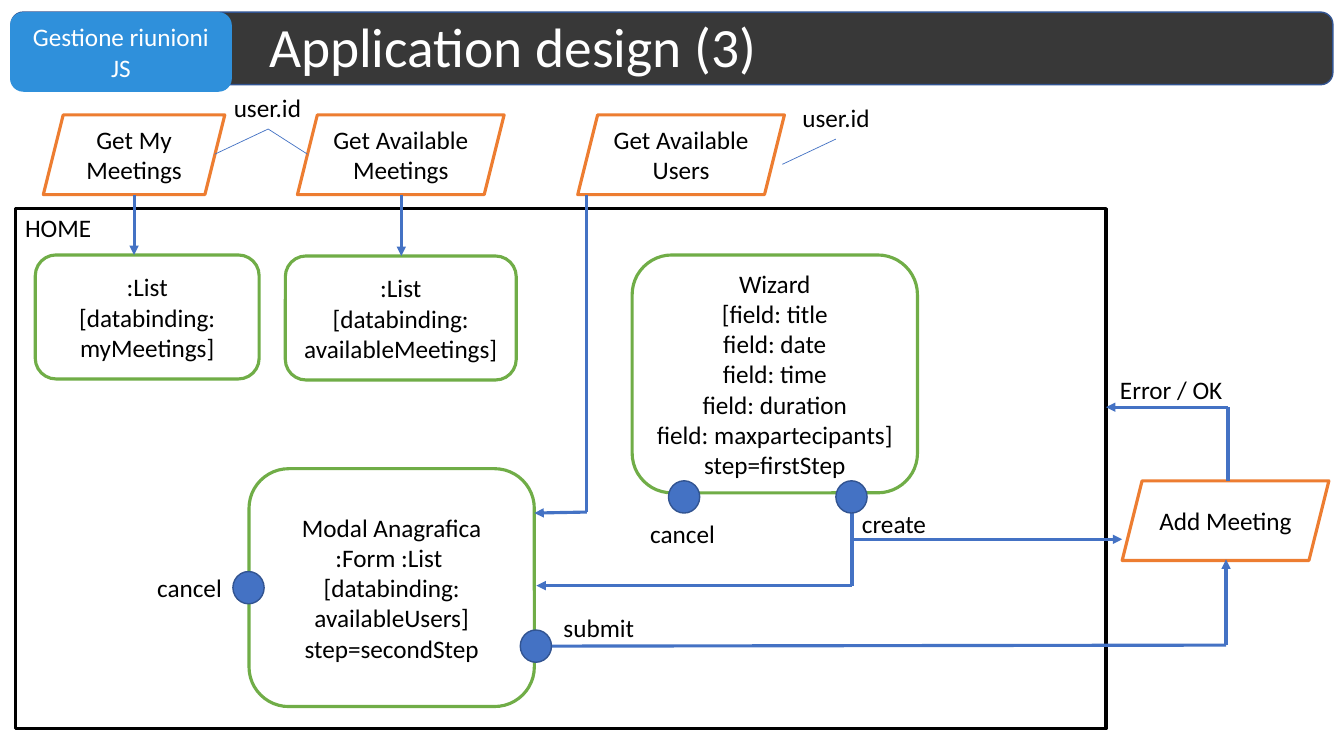
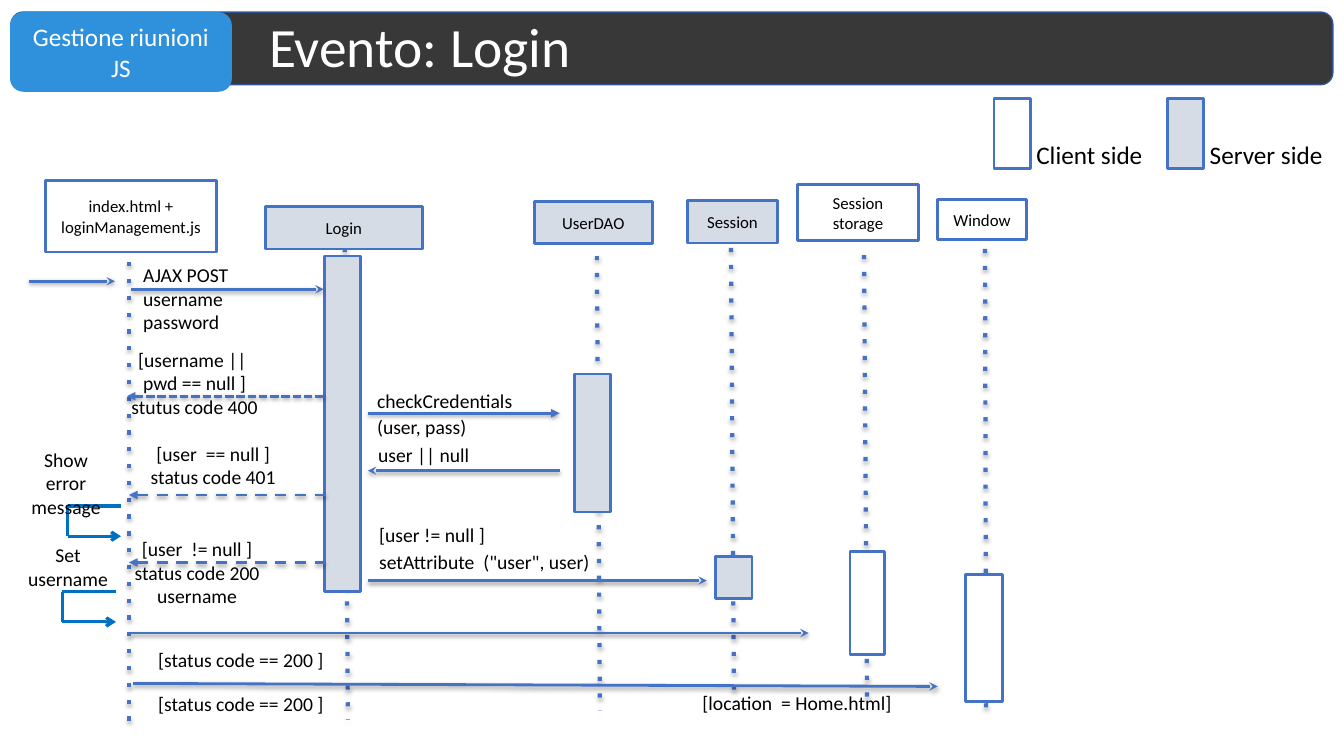
from lxml.etree import SubElement
from pptx import Presentation
from pptx.dml.color import RGBColor
from pptx.enum.shapes import MSO_CONNECTOR, MSO_SHAPE
from pptx.enum.text import MSO_ANCHOR, MSO_AUTO_SIZE, PP_ALIGN
from pptx.oxml.ns import qn
from pptx.util import Inches, Pt

FONT = "Calibri"
BLACK, WHITE = "000000", "FFFFFF"
BAND, TAB = "383838", "2F90DB"
BLUE, DARK_BLUE, LOOP_BLUE = "4472C4", "325491", "0070C0"
GREEN, ORANGE, SERVER = "70AD47", "ED7D31", "D6DCE5"
CLIENT = WHITE
WIDE_MARGINS = (0.12, 0.06)
LIFELINE_SHADOW = (35, 1.8)
MESSAGE_SHADOW = (38, 1.6)


def rgb(color):
    return RGBColor.from_string(color)


def write(shape, text, size, color=BLACK, align=PP_ALIGN.CENTER, anchor=MSO_ANCHOR.MIDDLE,
          margins=(0.1, 0.05), wrap=True, space_after=None, line_spacing=None):
    frame = shape.text_frame
    frame.text = text
    frame.word_wrap = wrap
    frame.vertical_anchor = anchor
    frame.margin_left = frame.margin_right = Inches(margins[0])
    frame.margin_top = frame.margin_bottom = Inches(margins[1])
    if not wrap:
        frame.auto_size = MSO_AUTO_SIZE.SHAPE_TO_FIT_TEXT
    for paragraph in frame.paragraphs:
        paragraph.alignment = align
        if space_after:
            paragraph.space_after = Pt(space_after)
        if line_spacing:
            paragraph.line_spacing = line_spacing
        for run in paragraph.runs:
            run.font.name = FONT
            run.font.size = Pt(size)
            run.font.color.rgb = rgb(color)


def add_box(slide, kind, bounds, fill, line=None, width=1):
    shape = slide.shapes.add_shape(kind, *map(Inches, bounds))
    shape.shadow.inherit = False
    shape.fill.solid()
    shape.fill.fore_color.rgb = rgb(fill)
    if line:
        shape.line.color.rgb = rgb(line)
        shape.line.width = Pt(width)
    else:
        shape.line.fill.background()
    return shape


def add_text(slide, bounds, text, size, **style):
    box = slide.shapes.add_textbox(*map(Inches, bounds))
    write(box, text, size, **style)


def add_line(shapes, start, end, color=BLUE, width=2.25, dash=None, head=None, tail=None,
             shadow=None):
    connector = shapes.add_connector(MSO_CONNECTOR.STRAIGHT, *map(Inches, start + end))
    connector.line.color.rgb = rgb(color)
    connector.line.width = Pt(width)
    properties = connector.element.spPr
    outline = properties.find(qn("a:ln"))
    if dash:
        SubElement(outline, qn("a:prstDash"), val=dash)
    if head:
        SubElement(outline, qn("a:headEnd"), type=head)
    if tail:
        SubElement(outline, qn("a:tailEnd"), type=tail)
    effects = SubElement(properties, qn("a:effectLst"))
    if shadow:
        opacity, distance = shadow
        outer = SubElement(effects, qn("a:outerShdw"), blurRad=str(Pt(3.1)),
                           dist=str(Pt(distance)), dir="5400000", rotWithShape="0")
        shade = SubElement(outer, qn("a:srgbClr"), val=BLACK)
        SubElement(shade, qn("a:alpha"), val=str(opacity * 1000))


def add_path(shapes, points, tail="triangle", **style):
    for index in range(1, len(points)):
        last = index == len(points) - 1
        add_line(shapes, points[index - 1], points[index], tail=tail if last else None, **style)


def add_titled_slide(presentation, title):
    slide = presentation.slides.add_slide(presentation.slide_layouts[6])
    add_box(slide, MSO_SHAPE.ROUNDED_RECTANGLE, (0.11, 0.12, 13.11, 0.72), BAND, DARK_BLUE)
    tab = add_box(slide, MSO_SHAPE.ROUNDED_RECTANGLE, (0.1, 0.12, 2.2, 0.79), TAB)
    write(tab, "Gestione riunioni JS", 18, WHITE)
    add_text(slide, (2.57, 0.12, 10.63, 0.74), title, 39.6, color=WHITE,
             align=PP_ALIGN.LEFT, line_spacing=0.9)
    return slide


def add_component(slide, bounds, text):
    shape = add_box(slide, MSO_SHAPE.ROUNDED_RECTANGLE, bounds, WHITE, GREEN, 2.25)
    write(shape, text, 18)


def add_action(slide, left, top, width, text):
    shape = add_box(slide, MSO_SHAPE.PARALLELOGRAM, (left, top, width, 0.79), WHITE, ORANGE, 2.25)
    write(shape, text, 18)


def add_event(slide, left, top):
    add_box(slide, MSO_SHAPE.OVAL, (left, top, 0.31, 0.32), BLUE, DARK_BLUE)


def add_label(slide, left, top, width, text):
    add_text(slide, (left, top, width, 0.4), text, 18, align=PP_ALIGN.LEFT,
             anchor=MSO_ANCHOR.TOP, wrap=False)


def add_bar(slide, bounds, fill):
    return add_box(slide, MSO_SHAPE.RECTANGLE, bounds, fill, BLUE, 2)


def add_participant(slide, bounds, fill, text):
    write(add_bar(slide, bounds, fill), text, 12, margins=WIDE_MARGINS)


def add_message(slide, start, end, **style):
    add_line(slide.shapes, start, end, width=2, shadow=MESSAGE_SHADOW, **style)


def add_note(slide, bounds, text, align=PP_ALIGN.CENTER, space_after=None):
    add_text(slide, bounds, text, 14, align=align, anchor=MSO_ANCHOR.TOP,
             margins=WIDE_MARGINS, space_after=space_after)


def add_self_call(slide, left, top):
    right, bottom = left + 0.53, top + 0.3
    group = slide.shapes.add_group_shape()
    add_path(group.shapes, [(right, top), (left, top), (left, bottom), (right, bottom)],
             tail="arrow", color=LOOP_BLUE)


def build_application_design(presentation):
    slide = add_titled_slide(presentation, "Application design (3)")
    add_box(slide, MSO_SHAPE.RECTANGLE, (0.15, 2.07, 10.82, 5.16), WHITE, BLACK, 2.25)

    for bounds, text in [
        ((0.35, 2.53, 2.22, 1.23), ":List\n[databinding: myMeetings]"),
        ((2.83, 2.54, 2.29, 1.23), ":List\n[databinding: availableMeetings]"),
        ((6.27, 2.53, 2.83, 2.36),
         "Wizard\n[field: title\nfield: date\nfield: time\nfield: duration\n"
         "field: maxpartecipants]\nstep=firstStep"),
        ((2.47, 4.65, 2.83, 2.36),
         "Modal Anagrafica\n:Form :List \n[databinding: availableUsers]\nstep=secondStep"),
    ]:
        add_component(slide, bounds, text)

    for left, top, width, text in [
        (0.43, 1.14, 1.8, "Get My Meetings"),
        (2.95, 1.14, 2.05, "Get Available Meetings"),
        (5.73, 1.14, 2.05, "Get Available Users"),
        (11.13, 4.77, 2.05, "Add Meeting"),
    ]:
        add_action(slide, left, top, width, text)

    for start, end in [
        ((2.66, 1.28), (2.13, 1.53)),
        ((2.66, 1.28), (3.05, 1.53)),
        ((8.29, 1.38), (7.76, 1.63)),
    ]:
        add_line(slide.shapes, start, end, width=0.5)

    for points in [
        [(1.33, 1.93), (1.33, 2.53)],
        [(3.98, 1.93), (3.98, 2.54)],
        [(5.82, 1.93), (5.82, 5.08), (5.3, 5.09)],
        [(8.45, 5.08), (8.45, 5.81), (5.32, 5.81)],
        [(8.45, 5.35), (11.13, 5.35)],
        [(12.18, 4.77), (12.18, 4.04), (10.97, 4.04)],
        [(5.47, 6.41), (12.16, 6.4), (12.16, 5.55)],
    ]:
        add_path(slide.shapes, points)

    for left, top in [(8.29, 4.77), (6.63, 4.77), (2.31, 5.67), (5.16, 6.25)]:
        add_event(slide, left, top)

    for left, top, width, text in [
        (0.15, 2.06, 0.86, "HOME"),
        (2.22, 0.87, 0.88, "user.id"),
        (7.86, 0.97, 0.88, "user.id"),
        (5.49, 6.03, 0.91, "submit"),
        (8.45, 4.99, 0.85, "create"),
        (11.01, 3.66, 1.23, "Error / OK"),
        (6.35, 5.09, 0.85, "cancel"),
        (1.46, 5.63, 0.85, "cancel"),
    ]:
        add_label(slide, left, top, width, text)


def build_login_event(presentation):
    slide = add_titled_slide(presentation, "Evento: Login")

    for start, end in [
        ((1.28, 2.6), (1.28, 7.16)),
        ((3.42, 2.46), (3.45, 7.14)),
        ((5.92, 2.54), (5.95, 7.05)),
        ((7.25, 2.46), (7.28, 6.97)),
        ((8.57, 2.53), (8.6, 7.03)),
        ((9.77, 2.47), (9.78, 7.14)),
    ]:
        add_line(slide.shapes, start, end, width=3, dash="dot", shadow=LIFELINE_SHADOW)

    for bounds, fill, text in [
        ((0.45, 1.79, 1.7, 0.71), CLIENT, "index.html + loginManagement.js"),
        ((2.63, 2.05, 1.56, 0.42), SERVER, "Login"),
        ((5.3, 2, 1.17, 0.42), SERVER, "UserDAO"),
        ((6.82, 1.99, 0.89, 0.42), SERVER, "Session"),
        ((7.91, 1.83, 1.2, 0.56), CLIENT, "Session storage"),
        ((9.3, 1.98, 0.88, 0.4), CLIENT, "Window"),
    ]:
        add_participant(slide, bounds, fill, text)

    for bounds, fill in [
        ((3.22, 2.54, 0.36, 3.33), SERVER),
        ((5.7, 3.71, 0.36, 1.37), SERVER),
        ((7.1, 5.52, 0.36, 0.42), SERVER),
        ((8.43, 5.47, 0.34, 1.02), CLIENT),
        ((9.58, 5.7, 0.36, 1.26), CLIENT),
    ]:
        add_bar(slide, bounds, fill)

    for left, fill, width, text in [
        (9.86, CLIENT, 1.31, "Client side "),
        (11.58, SERVER, 1.4, "Server side "),
    ]:
        add_bar(slide, (left, 0.98, 0.36, 0.69), fill)
        add_label(slide, left + 0.32, 1.33, width, text)

    for start, end in [
        ((0.29, 2.79), (1.14, 2.79)),
        ((1.3, 2.87), (3.21, 2.87)),
        ((5.55, 4.67), (3.65, 4.67)),
        ((3.65, 5.76), (7.01, 5.76)),
        ((1.3, 6.28), (8.02, 6.28)),
        ((1.32, 6.78), (9.3, 6.81)),
    ]:
        add_message(slide, start, end, tail="stealth")
    add_message(slide, (3.65, 4.1), (5.55, 4.1), tail="triangle")
    for start, end, dash in [
        ((1.26, 3.93), (3.22, 3.93), "sysDash"),
        ((1.28, 4.91), (3.25, 4.91), "dash"),
        ((1.28, 5.58), (3.22, 5.58), "dash"),
    ]:
        add_message(slide, start, end, dash=dash, head="triangle")

    add_self_call(slide, 0.67, 5.02)
    add_self_call(slide, 0.62, 5.87)

    for bounds, text in [
        ((1.12, 3.39, 1.62, 0.51), "[username || \vpwd == null ]\nstutus code 400"),
        ((1.3, 4.32, 1.63, 0.51), "[user  == null ]\nstatus code 401"),
        ((1.12, 5.27, 1.67, 0.71), "[user  != null ]\nstatus code 200\nusername"),
        ((1.27, 6.37, 2.24, 0.37), "[status code == 200 ]"),
        ((1.27, 6.8, 2.24, 0.37), "[status code == 200 ]"),
        ((6.6, 6.79, 2.61, 0.33), "[location  = Home.html]"),
        ((0.1, 4.38, 1.11, 0.51), "Show error message"),
        ((0.12, 5.33, 1.11, 0.51), "Set username"),
    ]:
        add_note(slide, bounds, text)

    for bounds, text, space_after in [
        ((1.3, 2.55, 1.15, 0.68), "AJAX POST username password", None),
        ((3.62, 3.8, 1.9, 0.53), "checkCredentials\n(user, pass)", 2),
        ((3.63, 4.33, 1.35, 0.4), "user || null", None),
        ((3.64, 5.13, 3.69, 0.63), '[user != null ] \nsetAttribute  ("user", user)', 2),
    ]:
        add_note(slide, bounds, text, PP_ALIGN.LEFT, space_after)


def main():
    presentation = Presentation()
    presentation.slide_width = Inches(13.33)
    presentation.slide_height = Inches(7.5)
    build_application_design(presentation)
    build_login_event(presentation)
    presentation.save("out.pptx")


main()
